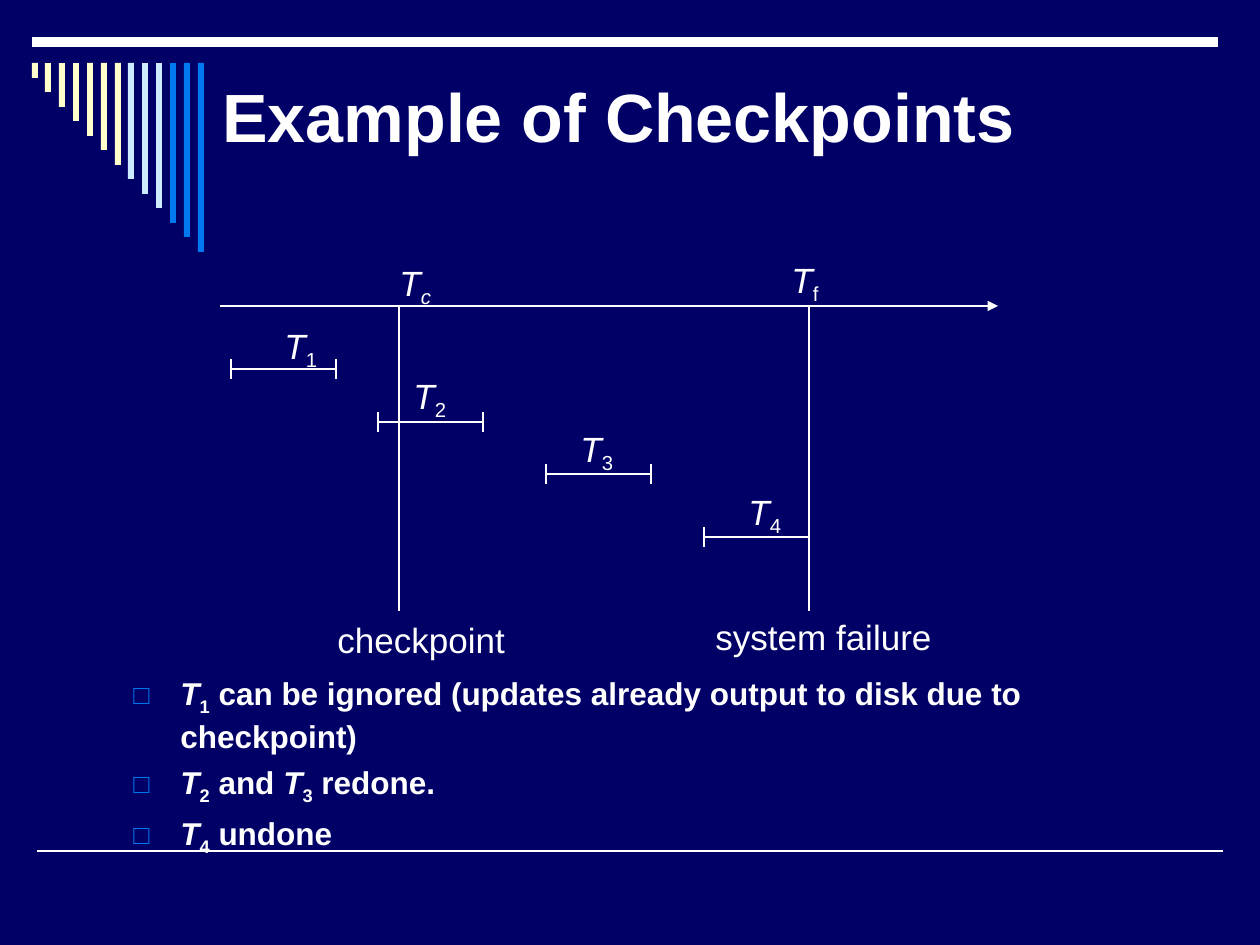
from dataclasses import dataclass

from pptx import Presentation
from pptx.dml.color import RGBColor
from pptx.enum.shapes import MSO_CONNECTOR, MSO_SHAPE
from pptx.enum.text import MSO_ANCHOR, MSO_AUTO_SIZE
from pptx.oxml.ns import qn
from pptx.util import Pt
from lxml.etree import SubElement

EMU_PER_PX = 914400 / 126


@dataclass(frozen=True)
class Theme:
    font: str = "Arial"
    background: str = "000066"
    text: str = "FFFFFF"
    cream: str = "FFFFCC"
    pale: str = "CCECFF"
    blue: str = "0078F0"
    title_size: int = 39
    label_size: int = 20
    body_size: int = 18
    thin: float = 0.75


def px(n):
    return round(n * EMU_PER_PX)


def rgb(value):
    return RGBColor.from_string(value)


def var(sub, sub_style="sub"):
    """Runs for the symbol T with a subscript."""
    return [("T", "italic"), (sub, sub_style)]


class Deck:
    def __init__(self, theme):
        self.theme = theme
        self.prs = Presentation()
        self.prs.slide_width, self.prs.slide_height = px(1260), px(945)
        self.s = self.prs.slides.add_slide(self.prs.slide_layouts[6])
        fill = self.s.background.fill
        fill.solid()
        fill.fore_color.rgb = rgb(theme.background)

    def line(self, x1, y1, x2, y2, width=None, arrow=False):
        c = self.s.shapes.add_connector(
            MSO_CONNECTOR.STRAIGHT, px(x1), px(y1), px(x2), px(y2))
        c.line.color.rgb = rgb(self.theme.text)
        c.line.width = Pt(width or self.theme.thin)
        if arrow:
            SubElement(c.line._get_or_add_ln(), qn("a:tailEnd"), type="triangle")
        SubElement(c._element.spPr, qn("a:effectLst"))

    def bar(self, x, y, w, h, color):
        sp = self.s.shapes.add_shape(MSO_SHAPE.RECTANGLE, px(x), px(y), px(w), px(h))
        sp.shadow.inherit = False
        sp.fill.solid()
        sp.fill.fore_color.rgb = rgb(color)
        sp.line.fill.background()

    def text(self, x, y, w, h, runs, size, bold=False, wrap=True):
        tf = self.s.shapes.add_textbox(px(x), px(y), px(w), px(h)).text_frame
        tf.word_wrap = wrap
        self.add_runs(tf.paragraphs[0], runs, size, bold)
        return tf

    def add_runs(self, p, runs, size, bold=False):
        for content, style in runs:
            r = p.add_run()
            r.text = content
            r.font.name = self.theme.font
            r.font.size = Pt(size)
            r.font.bold = bold
            r.font.italic = "italic" in style
            r.font.color.rgb = rgb(self.theme.text)
            if "sub" in style:
                r._r.get_or_add_rPr().set("baseline", "-25000")

    def title(self, x, y, w, h, content):
        tf = self.text(x, y, w, h, [(content, "")], self.theme.title_size, True)
        tf.vertical_anchor = MSO_ANCHOR.MIDDLE

    def label(self, x, y, w, h, runs):
        """One line of text in a box that grows with it."""
        tf = self.text(x, y, w, h, runs, self.theme.label_size, wrap=False)
        tf.auto_size = MSO_AUTO_SIZE.SHAPE_TO_FIT_TEXT

    def span(self, x, y, length, tick):
        """A horizontal bar closed by a tick at each end."""
        self.line(x, y, x + length, y)
        for end in (x, x + length):
            self.line(end, y - tick, end, y + tick)

    def bullets(self, x, y, w, h, items):
        tf = self.text(x, y, w, h, [], self.theme.body_size, True)
        for i, runs in enumerate(items):
            p = tf.paragraphs[0] if i == 0 else tf.add_paragraph()
            if i:
                p.space_before = Pt(4.5)
            pPr = p._p.get_or_add_pPr()
            pPr.set("marL", str(px(47)))
            pPr.set("indent", str(px(-47)))
            color = SubElement(pPr, qn("a:buClr"))
            SubElement(color, qn("a:srgbClr"), val=self.theme.blue)
            SubElement(pPr, qn("a:buSzPct"), val="85000")
            SubElement(pPr, qn("a:buFont"), typeface=self.theme.font)
            SubElement(pPr, qn("a:buChar"), char="□")
            self.add_runs(p, runs, self.theme.body_size, True)


def main():
    theme = Theme()
    deck = Deck(theme)

    # Frame rules and the stepped stripes
    deck.line(37, 851, 1223, 851, 1)
    deck.line(32, 42, 1218, 42, 6)
    stripes = [theme.cream] * 7 + [theme.pale] * 3 + [theme.blue] * 3
    for i, color in enumerate(stripes):
        deck.bar(round(31.5 + i * 13.85), 63, 6, round(189 * (i + 1) / 13), color)

    deck.title(210, 63, 1008, 105, "Example of Checkpoints")

    # Time axis with the checkpoint and failure moments
    axis_y = 306
    deck.line(220, axis_y, 998, axis_y, arrow=True)
    for moment_x in (399, 809):
        deck.line(moment_x, axis_y, moment_x, 611)
    deck.label(387, 255, 57, 60, var("c", "italic sub"))
    deck.label(779, 252, 52, 60, var("f"))
    deck.label(325, 612, 194, 55, [("checkpoint", "")])
    deck.label(703, 609, 242, 55, [("system failure", "")])

    # Transactions: span left, span height, label left, label top
    transactions = [(231, 369, 272, 318), (378, 422, 401, 368),
                    (546, 474, 568, 421), (704, 537, 736, 484)]
    for n, (x, y, label_x, label_y) in enumerate(transactions, 1):
        deck.span(x, y, 105, 10)
        deck.label(label_x, label_y, 58, 60, var(str(n)))

    # Outcome of each transaction
    deck.bullets(121, 668, 1080, 190, [
        var("1") + [(" can be ignored (updates already output to disk due to checkpoint)", "")],
        var("2") + [(" and ", "")] + var("3") + [(" redone.", "")],
        var("4") + [(" undone", "")],
    ])

    deck.prs.save("out.pptx")


if __name__ == "__main__":
    main()
